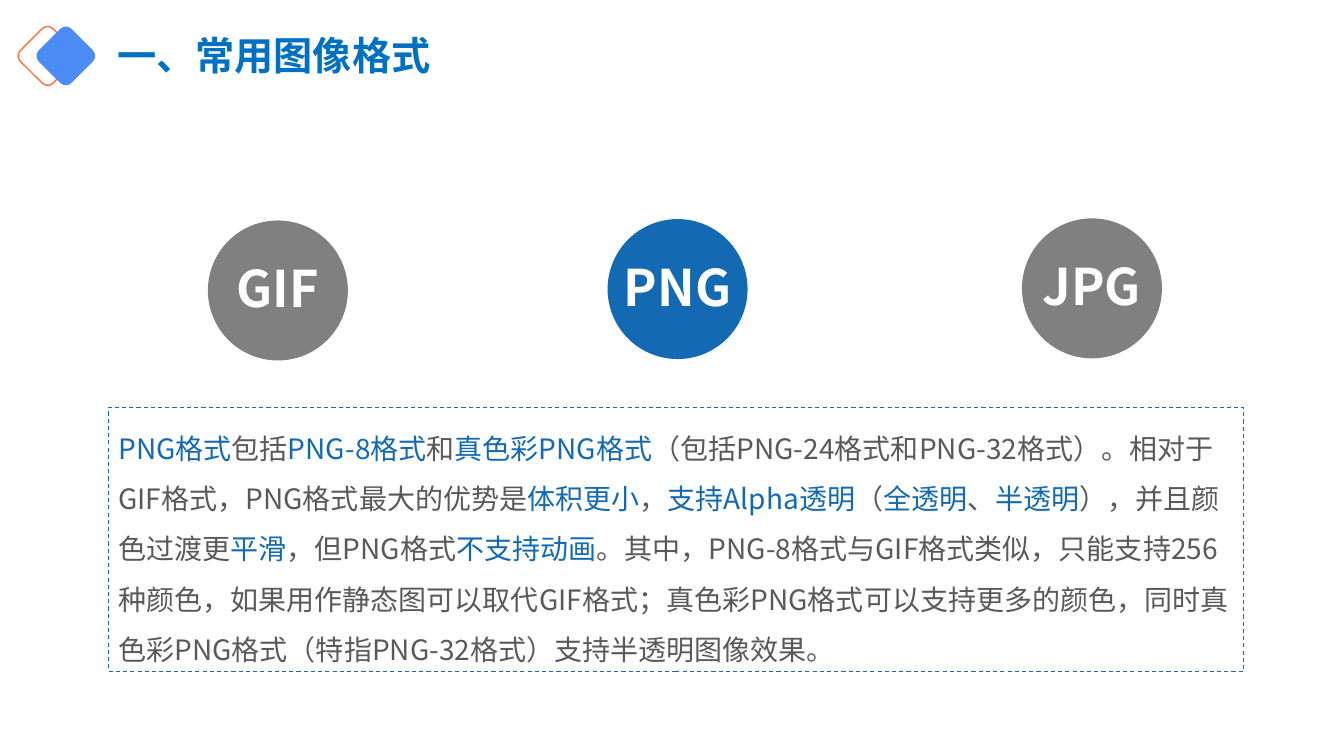
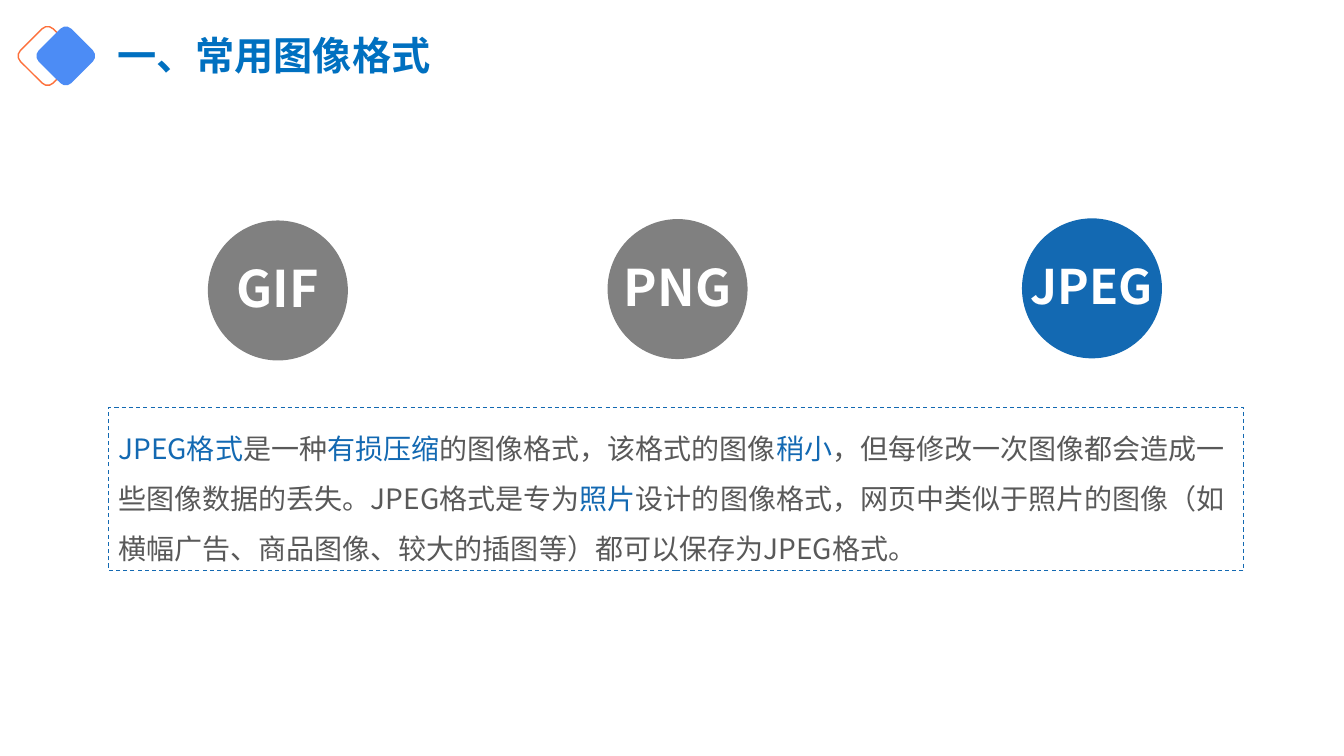
from dataclasses import dataclass

import pptx
import pptx.dml.color
import pptx.enum.dml
import pptx.enum.shapes
import pptx.enum.text
import pptx.oxml
import pptx.oxml.ns
import pptx.util

Pt = pptx.util.Pt
MSO_SHAPE = pptx.enum.shapes.MSO_SHAPE
PP_ALIGN = pptx.enum.text.PP_ALIGN
MSO_ANCHOR = pptx.enum.text.MSO_ANCHOR


@dataclass(frozen=True)
class Theme:
    font: str = "Noto Sans CJK SC"
    title: str = "0070C0"
    accent: str = "1369B2"
    muted: str = "808080"
    body: str = "595959"
    white: str = "FFFFFF"
    diamond: str = "4C8CF5"
    outline: str = "FD703B"
    title_size: int = 28
    label_size: int = 36
    long_label_size: int = 34
    body_size: int = 20
    body_leading: int = 36


THEME = Theme()
TITLE = "一、常用图像格式"
CIRCLE_SIZE = 100
CIRCLE_POSITIONS = ((148.5, 157.5), (434, 156.5), (730, 156))

SLIDES = (
    {
        "labels": ("GIF", "PNG", "JPG"),
        "active": 1,
        "box": (77.5, 291, 811, 188.5),
        "text": "PNG格式|包括|PNG-8格式|和|真色彩PNG格式|"
                "（包括PNG-24格式和PNG-32格式）。相对于GIF格式，PNG格式最大的优势是|"
                "体积更小|，|支持Alpha透明|（|全透明|、|半透明|），并且颜色过渡更|"
                "平滑|，但PNG格式|不支持动画|"
                "。其中，PNG-8格式与GIF格式类似，只能支持256种颜色，"
                "如果用作静态图可以取代GIF格式；真色彩PNG格式可以支持更多的颜色，"
                "同时真色彩PNG格式（特指PNG-32格式）支持半透明图像效果。",
    },
    {
        "labels": ("GIF", "PNG", "JPEG"),
        "active": 2,
        "box": (77.5, 291, 811, 116.5),
        "text": "JPEG格式|是一种|有损压缩|的图像格式，该格式的图像|稍小|"
                "，但每修改一次图像都会造成一些图像数据的丢失。JPEG格式是专为|照片|"
                "设计的图像格式，网页中类似于照片的图像"
                "（如横幅广告、商品图像、较大的插图等）都可以保存为JPEG格式。",
    },
)


def rgb(color):
    return pptx.dml.color.RGBColor.from_string(color)


def format_paragraph(paragraph, size, color, bold=False, alignment=PP_ALIGN.LEFT):
    paragraph.alignment = alignment
    font = paragraph.font
    font.name = THEME.font
    font.size = Pt(size)
    font.bold = bold
    font.color.rgb = rgb(color)
    east_asian = pptx.oxml.parse_xml(
        f'<a:ea {pptx.oxml.ns.nsdecls("a")} typeface="{THEME.font}"/>')
    latin = paragraph._p.pPr.find(
        f'{pptx.oxml.ns.qn("a:defRPr")}/{pptx.oxml.ns.qn("a:latin")}')
    latin.addnext(east_asian)


def add_shape(slide, kind, box, fill=None, line=None, line_width=1):
    shape = slide.shapes.add_shape(kind, *map(Pt, box))
    shape.shadow.inherit = False
    if fill:
        shape.fill.solid()
        shape.fill.fore_color.rgb = rgb(fill)
    else:
        shape.fill.background()
    if line:
        shape.line.color.rgb = rgb(line)
        shape.line.width = Pt(line_width)
    else:
        shape.line.fill.background()
    return shape


def add_header(slide, left, top):
    size = 33
    for offset, fill, line in ((0, None, THEME.outline), (13, THEME.diamond, None)):
        diamond = add_shape(slide, MSO_SHAPE.ROUNDED_RECTANGLE,
                            (left + offset, top, size, size), fill, line)
        diamond.rotation = 45
    title = slide.shapes.title
    title.left, title.top = Pt(left + 59), Pt(top - 11)
    title.width, title.height = Pt(369.5), Pt(57)
    frame = title.text_frame
    frame.text = TITLE
    frame.vertical_anchor = MSO_ANCHOR.MIDDLE
    frame.paragraphs[0].line_spacing = 0.9
    format_paragraph(frame.paragraphs[0], THEME.title_size, THEME.title, bold=True)


def add_format_circle(slide, left, top, label, active):
    circle = add_shape(slide, MSO_SHAPE.OVAL, (left, top, CIRCLE_SIZE, CIRCLE_SIZE),
                       THEME.accent if active else THEME.muted)
    frame = circle.text_frame
    frame.word_wrap = False
    frame.vertical_anchor = MSO_ANCHOR.MIDDLE
    frame.margin_left = frame.margin_right = frame.margin_top = 0
    frame.margin_bottom = Pt(4)
    frame.text = label
    size = THEME.long_label_size if len(label) > 3 else THEME.label_size
    format_paragraph(frame.paragraphs[0], size, THEME.white, True, PP_ALIGN.CENTER)


def add_description(slide, box, text):
    panel = add_shape(slide, MSO_SHAPE.RECTANGLE, box, THEME.white, THEME.accent, 0.75)
    panel.line.dash_style = pptx.enum.dml.MSO_LINE.DASH
    frame = panel.text_frame
    frame.word_wrap = True
    frame.vertical_anchor = MSO_ANCHOR.TOP
    frame.margin_top = Pt(5)
    paragraph = frame.paragraphs[0]
    paragraph.line_spacing = Pt(THEME.body_leading)
    format_paragraph(paragraph, THEME.body_size, THEME.body)
    for index, part in enumerate(text.split("|")):
        run = paragraph.add_run()
        run.text = part
        run.font.color.rgb = rgb(THEME.body if index % 2 else THEME.accent)


def add_format_slide(presentation, content):
    slide = presentation.slides.add_slide(presentation.slide_layouts[5])
    add_header(slide, 17.5, 23.5)
    for index, (position, label) in enumerate(zip(CIRCLE_POSITIONS, content["labels"])):
        add_format_circle(slide, *position, label, index == content["active"])
    add_description(slide, content["box"], content["text"])


def main():
    presentation = pptx.Presentation()
    presentation.slide_width, presentation.slide_height = Pt(960), Pt(540)
    for content in SLIDES:
        add_format_slide(presentation, content)
    presentation.save("out.pptx")


if __name__ == "__main__":
    main()
